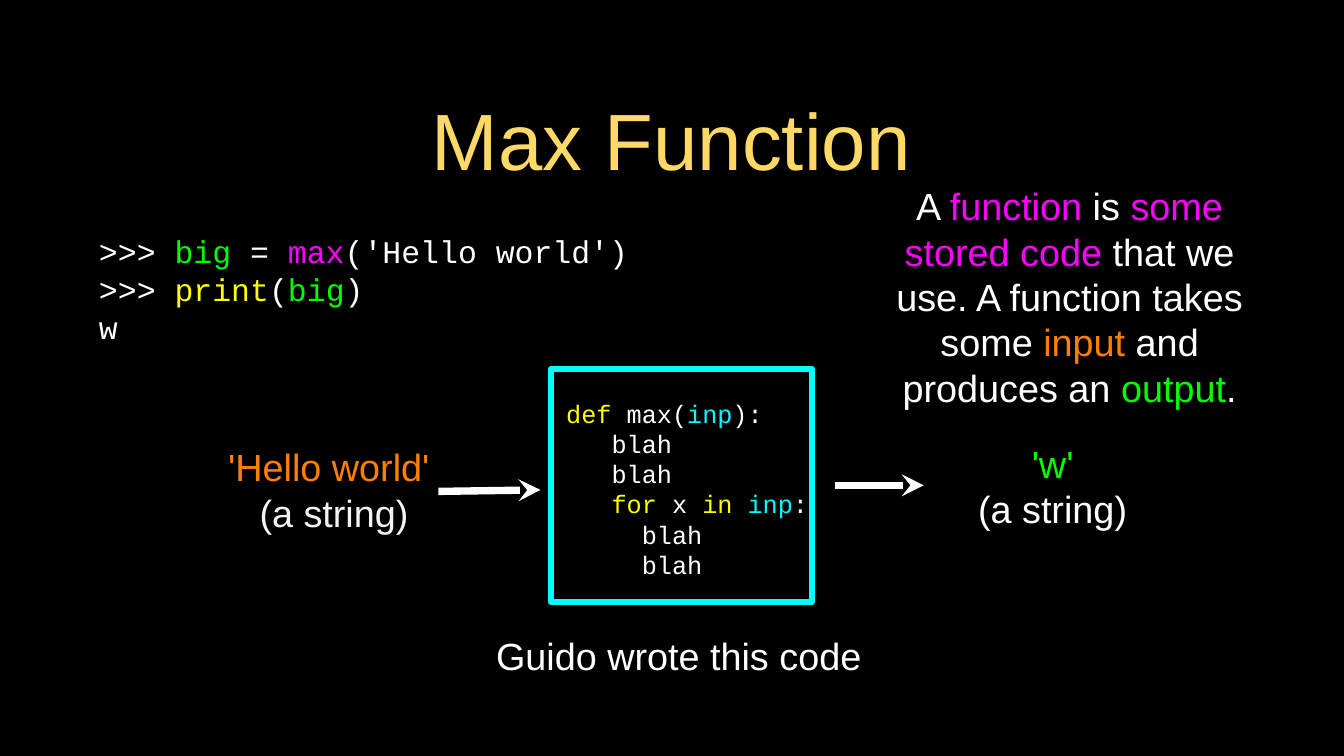
from dataclasses import dataclass

from lxml.etree import SubElement
from pptx import Presentation
from pptx.dml.color import RGBColor
from pptx.enum.shapes import MSO_CONNECTOR, MSO_SHAPE
from pptx.enum.text import MSO_ANCHOR, PP_ALIGN
from pptx.oxml.ns import qn
from pptx.util import Pt

BLACK = RGBColor(0x00, 0x00, 0x00)
WHITE = RGBColor(0xFF, 0xFF, 0xFF)
PALE = RGBColor(0xF3, 0xF3, 0xF3)
GOLD = RGBColor(0xFF, 0xD9, 0x66)
GREEN = RGBColor(0x00, 0xFF, 0x00)
MAGENTA = RGBColor(0xFF, 0x00, 0xFF)
YELLOW = RGBColor(0xFF, 0xFF, 0x00)
ORANGE = RGBColor(0xFF, 0x7F, 0x00)
CYAN = RGBColor(0x00, 0xFF, 0xFF)
AQUA = RGBColor(0x00, 0xFD, 0xFF)

LINE_RATIO = 1.2   # line pitch over font size
CHAR_RATIO = 0.6   # monospace character width over font size


@dataclass
class Span:
    text: str
    color: RGBColor = WHITE


@dataclass
class Line:
    spans: list[Span]
    indent: int = 0  # in characters


@dataclass
class Block:
    left: float
    top: float
    width: float
    height: float
    lines: list[Line]
    size: int = 36
    font: str = "Arial"
    align: PP_ALIGN = PP_ALIGN.CENTER
    inset_top: float = 0
    outline: RGBColor | None = None


@dataclass
class Arrow:
    start: tuple[float, float]
    end: tuple[float, float]


CODE = {"font": "Courier New", "align": PP_ALIGN.LEFT}
BLAH = [Span("blah")]

BLOCKS = [
    # Title
    Block(90.7, 63.4, 1097.3, 136.8, [Line([Span("Max Function", GOLD)])], size=76),
    # Interpreter session
    Block(94.3, 209.5, 561.6, 131, [
        Line([Span(">>> "), Span("big", GREEN), Span(" = "), Span("max", MAGENTA),
              Span("('Hello world')")]),
        Line([Span(">>> "), Span("print", YELLOW), Span("("), Span("big", GREEN),
              Span(")")]),
        Line([Span("w")]),
    ], size=30, **CODE),
    # Function body
    Block(524.9, 351.4, 248.4, 221.8, [
        Line([Span("def", YELLOW), Span(" max("), Span("inp", AQUA), Span("):")], 1),
        Line(BLAH, 4),
        Line(BLAH, 4),
        Line([Span("for", YELLOW), Span(" x "), Span("in ", YELLOW),
              Span("inp", AQUA), Span(":")], 4),
        Line(BLAH, 6),
        Line(BLAH, 6),
    ], size=24, inset_top=6, outline=CYAN, **CODE),
    # Input and output
    Block(205.9, 421.2, 224.6, 90, [
        Line([Span("'Hello world' ", ORANGE)]),
        Line([Span("(a string)", PALE)]),
    ]),
    Block(916.6, 417.6, 172.1, 90, [
        Line([Span("'w'", GREEN)]),
        Line([Span("(a string)")]),
    ]),
    # Definition
    Block(824.4, 178.6, 388.8, 207.4, [
        Line([Span("A "), Span("function", MAGENTA), Span(" is "),
              Span("some stored code", MAGENTA),
              Span(" that we use. A function takes some "), Span("input", ORANGE),
              Span(" and produces an "), Span("output", GREEN), Span(".")]),
    ]),
    # Caption
    Block(468.7, 599.8, 355.7, 49, [Line([Span("Guido wrote this code")])]),
]

ARROWS = [
    Arrow((417.6, 468), (514.8, 466.6)),
    Arrow((794.9, 462.2), (879.8, 462.2)),
]


def draw_block(page, block: Block) -> None:
    place = [Pt(v) for v in (block.left, block.top, block.width, block.height)]
    if block.outline is None:
        box = page.shapes.add_textbox(*place)
    else:
        box = page.shapes.add_shape(MSO_SHAPE.RECTANGLE, *place)
        box.shadow.inherit = False
        box.fill.background()
        box.line.color.rgb = block.outline
        box.line.width = Pt(6)
    frame_format = {
        "word_wrap": True, "vertical_anchor": MSO_ANCHOR.MIDDLE,
        "margin_left": 0, "margin_right": 0,
        "margin_top": Pt(block.inset_top), "margin_bottom": 0,
    }
    for name, value in frame_format.items():
        setattr(box.text_frame, name, value)
    for number, line in enumerate(block.lines):
        frame = box.text_frame
        para = frame.add_paragraph() if number else frame.paragraphs[0]
        para.alignment = block.align
        para.line_spacing = Pt(LINE_RATIO * block.size)
        if line.indent:
            margin = Pt(line.indent * CHAR_RATIO * block.size)
            para._p.get_or_add_pPr().set("marL", str(margin))
        for span in line.spans:
            run = para.add_run()
            run.text = span.text
            run.font.color.rgb = span.color
            font_format = {"name": block.font, "size": Pt(block.size), "bold": False}
            for name, value in font_format.items():
                setattr(run.font, name, value)


def draw_arrow(page, arrow: Arrow) -> None:
    ends = [Pt(v) for v in (*arrow.start, *arrow.end)]
    connector = page.shapes.add_connector(MSO_CONNECTOR.STRAIGHT, *ends)
    connector.line.color.rgb = WHITE
    connector.line.width = Pt(7)
    SubElement(connector.line._get_or_add_ln(), qn("a:tailEnd"), type="stealth")
    SubElement(connector._element.spPr, qn("a:effectLst"))


def main() -> None:
    deck = Presentation()
    deck.slide_width, deck.slide_height = Pt(1280.16), Pt(720)
    page = deck.slides.add_slide(deck.slide_layouts[6])
    page.background.fill.solid()
    page.background.fill.fore_color.rgb = BLACK
    for block in BLOCKS:
        draw_block(page, block)
    for arrow in ARROWS:
        draw_arrow(page, arrow)
    deck.save("out.pptx")


if __name__ == "__main__":
    main()
